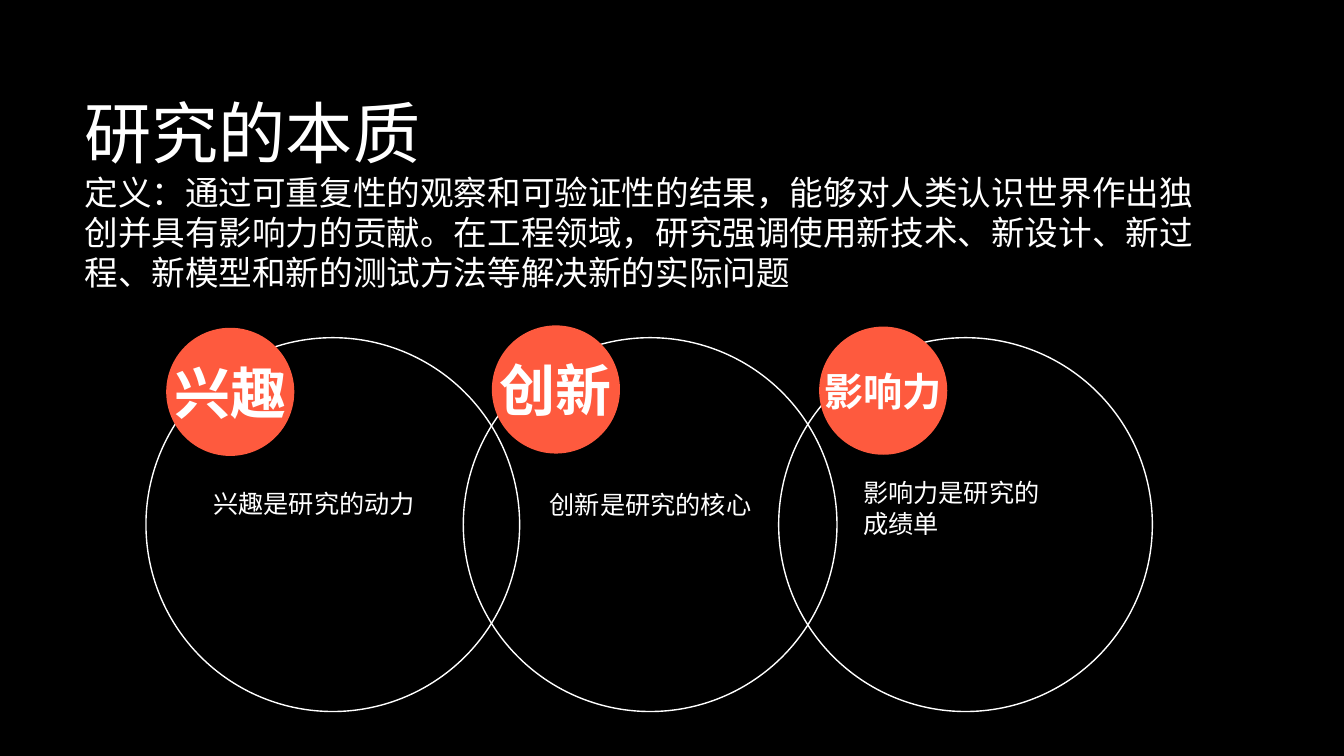
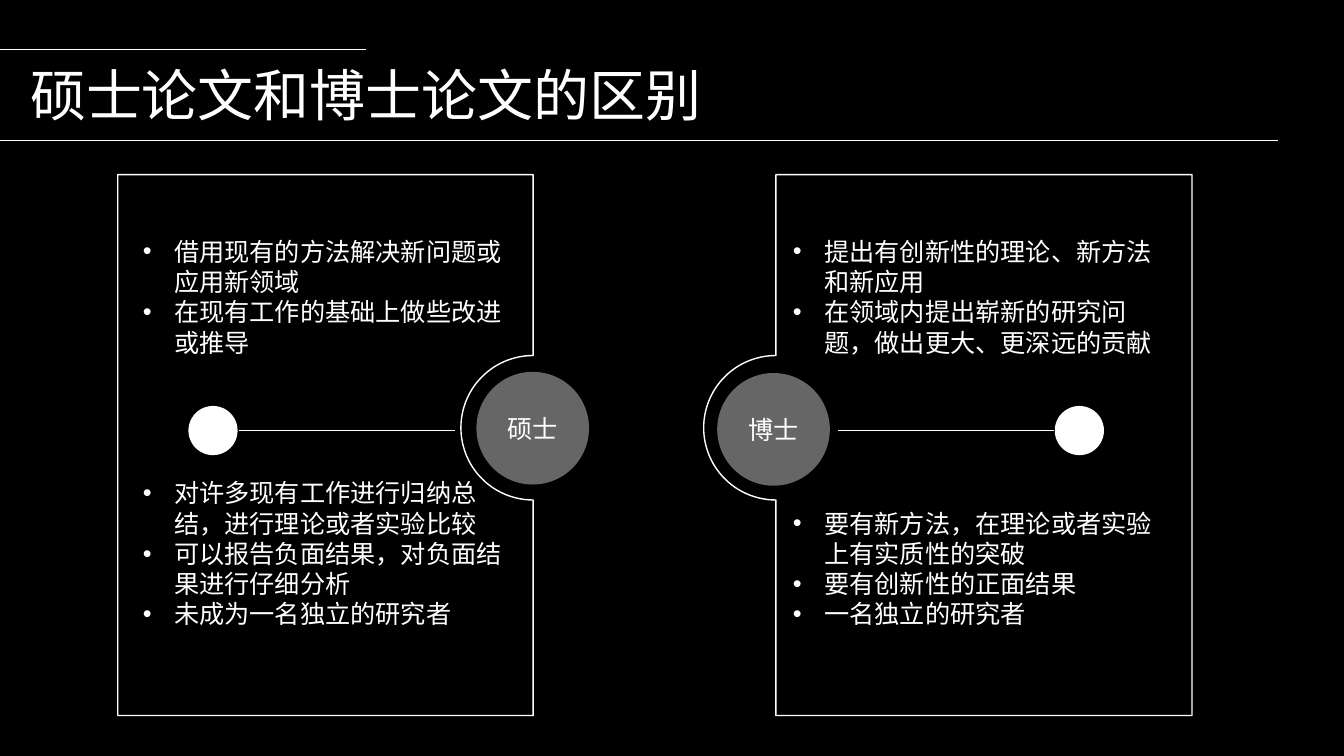
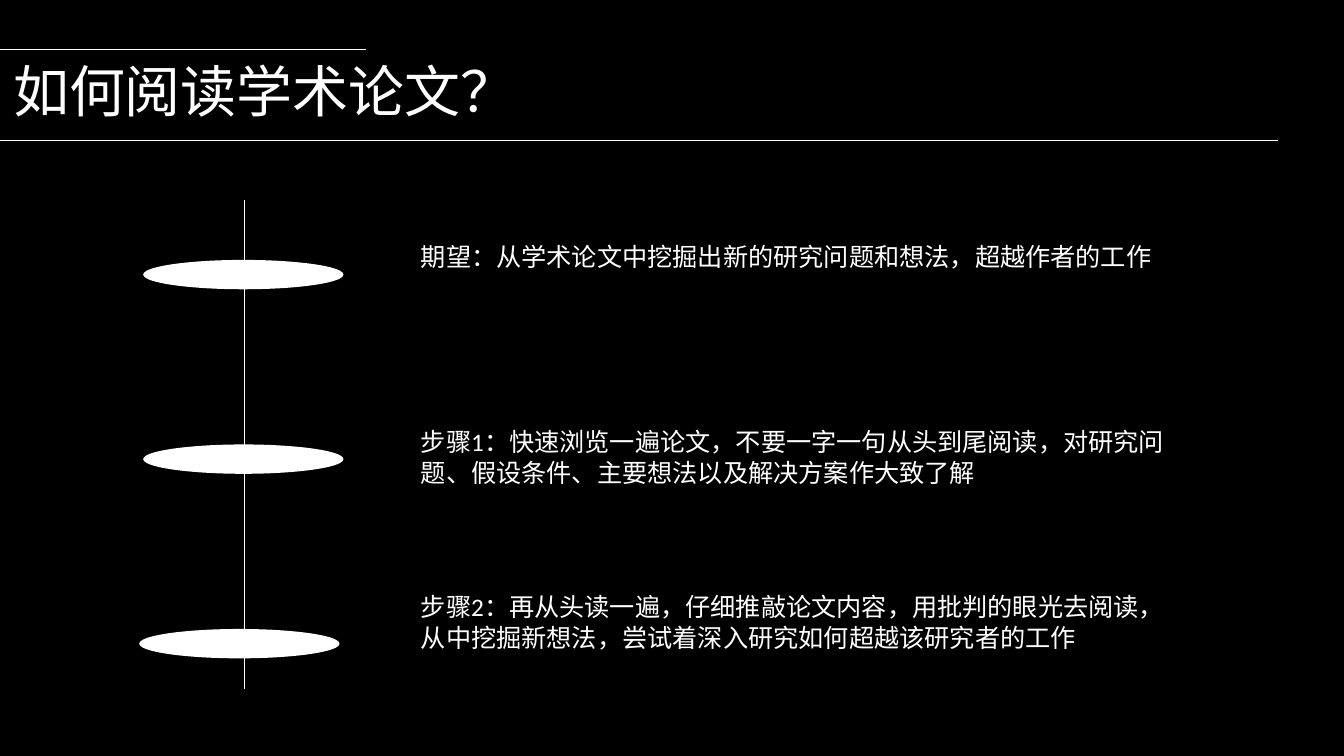
"""Build three slides about research, theses and reading papers."""
import math

from lxml import etree
from pptx import Presentation
from pptx.dml.color import RGBColor
from pptx.enum.shapes import MSO_CONNECTOR, MSO_SHAPE
from pptx.enum.text import MSO_ANCHOR, MSO_AUTO_SIZE, PP_ALIGN
from pptx.oxml.ns import qn
from pptx.util import Cm, Pt

STRAIGHT = MSO_CONNECTOR.STRAIGHT
OVAL = MSO_SHAPE.OVAL
TOP, MIDDLE, BOTTOM = MSO_ANCHOR.TOP, MSO_ANCHOR.MIDDLE, MSO_ANCHOR.BOTTOM
LEFT, CENTER = PP_ALIGN.LEFT, PP_ALIGN.CENTER
NO_FIT = MSO_AUTO_SIZE.NONE
TITLE_ONLY = 5

BLACK, WHITE, ORANGE = "000000", "FFFFFF", "FE5A3E"
BODY_FONT, BADGE_FONT = "Calibri", "Arial"

DEFINITION = ("定义：通过可重复性的观察和可验证性的结果，能够对人类认识世界作出独创并具有影响力的贡献。"
              "在工程领域，研究强调使用新技术、新设计、新过程、新模型和新的测试方法等解决新的实际问题")
RING, BADGE = 9.42, 3.23
ESSENCE = [
    dict(name="兴趣", size=40, ring=3.68, badge=(4.19, 8.26),
         note="兴趣是研究的动力", note_at=(5.13, 12.17, 5.66, 1.02)),
    dict(name="创新", size=40, ring=11.68, badge=(12.4, 8.2),
         note="创新是研究的核心", note_at=(13.61, 12.19, 5.66, 1.02)),
    dict(name="影响力", size=28, ring=19.63, badge=(20.65, 8.23),
         note="影响力是研究的成绩单", note_at=(21.51, 11.91, 5.54, 1.78)),
]

CARD_TOP, CARD_BOTTOM, NOTCH_Y, NOTCH_R = 4.4, 18.03, 10.78, 1.82
DISC, DOT, AXIS_Y = 2.84, 1.24, 10.85
DEGREES = [
    dict(name="硕士", notch_x=13.44, far_x=2.97, disc=(12.01, 9.37),
         dot_x=4.75, line=(6.02, 11.46), text_x=3.35, text_w=9.65,
         upper=["借用现有的方法解决新问题或应用新领域", "在现有工作的基础上做些改进或推导"],
         lower=["对许多现有工作进行归纳总结，进行理论或者实验比较",
                "可以报告负面结果，对负面结果进行仔细分析", "未成为一名独立的研究者"]),
    dict(name="博士", notch_x=19.56, far_x=30.05, disc=(18.08, 9.4),
         dot_x=26.59, line=(21.13, 26.57), text_x=19.74, text_w=9.86,
         upper=["提出有创新性的理论、新方法和新应用",
                "在领域内提出崭新的研究问题，做出更大、更深远的贡献"],
         lower=["要有新方法，在理论或者实验上有实质性的突破",
                "要有创新性的正面结果", "一名独立的研究者"]),
]
UPPER_Y, LOWER_Y, LIST_H = 5.82, 11.92, 4.06

MARKER_Y, MARKER_STEP, MARKER_W, MARKER_H = 6.55, 4.65, 5.05, 0.74
READING = [
    (3.61, 5.94, 1.02, "期望：从学术论文中挖掘出新的研究问题和想法，超越作者的工作"),
    (3.61, 10.62, 1.78, "步骤1：快速浏览一遍论文，不要一字一句从头到尾阅读，"
                        "对研究问题、假设条件、主要想法以及解决方案作大致了解"),
    (3.51, 14.78, 1.78, "步骤2：再从头读一遍，仔细推敲论文内容，用批判的眼光去阅读，"
                        "从中挖掘新想法，尝试着深入研究如何超越该研究者的工作"),
]


def rgb(value):
    """Turn a hex string into a colour."""
    return RGBColor.from_string(value)


def add_bullet(p):
    """Give a paragraph a white round bullet with a hanging indent."""
    pPr = p._p.get_or_add_pPr()
    pPr.set("marL", str(Cm(0.79)))
    pPr.set("indent", str(Cm(-0.79)))
    colour = etree.SubElement(pPr, qn("a:buClr"))
    etree.SubElement(colour, qn("a:srgbClr")).set("val", WHITE)
    etree.SubElement(pPr, qn("a:buFont")).set("typeface", BADGE_FONT)
    etree.SubElement(pPr, qn("a:buChar")).set("char", "•")


def write(tf, lines, size=18, font=BODY_FONT, bold=False, align=LEFT,
          anchor=TOP, wrap=True, bullet=False, inset=0.25):
    """Fill a text frame, keeping punctuation inside the margins."""
    tf.word_wrap, tf.auto_size, tf.vertical_anchor = wrap, NO_FIT, anchor
    tf.margin_left = tf.margin_right = Cm(inset)
    tf.margin_top = tf.margin_bottom = Cm(0.13)
    for i, line in enumerate(lines):
        p = tf.add_paragraph() if i else tf.paragraphs[0]
        p.alignment = align
        p._p.get_or_add_pPr().set("hangingPunct", "0")
        if bullet:
            add_bullet(p)
        r = p.add_run()
        r.text = line
        r.font.name, r.font.size, r.font.bold = font, Pt(size), bold
        r.font.color.rgb = rgb(WHITE)


def add_text(s, at, lines, **fmt):
    """Add a text box at left, top, width, height in centimetres."""
    write(s.shapes.add_textbox(*map(Cm, at)).text_frame, lines, **fmt)


def paint(sp, fill=None, line=None, alpha=None):
    """Set the fill and outline of a shape and drop its shadow."""
    sp.shadow.inherit = False
    if fill:
        sp.fill.solid()
        sp.fill.fore_color.rgb = rgb(fill)
    else:
        sp.fill.background()
    if alpha:
        colour = sp._element.spPr.find(qn("a:solidFill"))[0]
        etree.SubElement(colour, qn("a:alpha")).set("val", str(alpha * 1000))
    if line:
        sp.line.color.rgb = rgb(line)
        sp.line.width = Pt(1)
    else:
        sp.line.fill.background()


def add_oval(s, x, y, w, h, **look):
    """Add an ellipse and return it."""
    sp = s.shapes.add_shape(OVAL, Cm(x), Cm(y), Cm(w), Cm(h))
    paint(sp, **look)
    return sp


def add_line(s, x1, y1, x2, y2):
    """Add a thin white line."""
    c = s.shapes.add_connector(STRAIGHT, Cm(x1), Cm(y1), Cm(x2), Cm(y2))
    c.line.color.rgb = rgb(WHITE)
    c.line.width = Pt(0.5)
    etree.SubElement(c._element.spPr, qn("a:effectLst"))


def add_slide(prs, title, at, size=40, ruled=True):
    """Add a slide with its title and, if ruled, the two title lines."""
    s = prs.slides.add_slide(prs.slide_layouts[TITLE_ONLY])
    sp = s.shapes.title
    sp.left, sp.top, sp.width, sp.height = map(Cm, at)
    write(sp.text_frame, [title], size=size)
    if ruled:
        add_line(s, 0, 1.24, 9.22, 1.24)
        add_line(s, 0, 3.53, 32.21, 3.53)
    return s


def add_card(s, notch_x, far_x):
    """Outline a card whose notched side bows to the left."""
    angles = [math.radians(90 + 3 * i) for i in range(61)]
    points = [(far_x, CARD_TOP), (notch_x, CARD_TOP)]
    points += [(notch_x + NOTCH_R * math.cos(a), NOTCH_Y - NOTCH_R * math.sin(a))
               for a in angles]
    points += [(notch_x, CARD_BOTTOM), (far_x, CARD_BOTTOM)]
    points = [(Cm(x), Cm(y)) for x, y in points]
    fb = s.shapes.build_freeform(*points[0])
    fb.add_line_segments(points[1:], close=True)
    paint(fb.convert_to_shape(), line=WHITE)


def essence_slide(prs):
    """Define research and show its three overlapping aspects."""
    s = add_slide(prs, "研究的本质", (1.88, 2.16, 29, 2.03), size=48, ruled=False)
    add_text(s, (1.88, 4.19, 29, 3.3), [DEFINITION], size=24)
    for item in ESSENCE:
        add_oval(s, item["ring"], 8.51, RING, RING, line=WHITE)
    for item in ESSENCE:
        sp = add_oval(s, *item["badge"], BADGE, BADGE, fill=ORANGE)
        write(sp.text_frame, [item["name"]], size=item["size"], font=BADGE_FONT,
              bold=True, align=CENTER, anchor=MIDDLE, wrap=False, inset=0)
        add_text(s, item["note_at"], [item["note"]])


def degrees_slide(prs):
    """Compare the master's and the doctoral thesis."""
    s = add_slide(prs, "硕士论文和博士论文的区别", (0.51, 1.4, 30, 1.96))
    for d in DEGREES:
        add_card(s, d["notch_x"], d["far_x"])
        sp = add_oval(s, *d["disc"], DISC, DISC, fill=WHITE, alpha=40)
        write(sp.text_frame, [d["name"]], font=BADGE_FONT, align=CENTER, anchor=MIDDLE)
        x1, x2 = d["line"]
        add_line(s, x1, AXIS_Y, x2, AXIS_Y)
        add_oval(s, d["dot_x"], AXIS_Y - DOT / 2, DOT, DOT, fill=WHITE)
        for key, y, anchor in (("upper", UPPER_Y, TOP), ("lower", LOWER_Y, BOTTOM)):
            add_text(s, (d["text_x"], y, d["text_w"], LIST_H), d[key],
                     anchor=anchor, bullet=True)


def reading_slide(prs):
    """List the steps for reading a paper along a vertical line."""
    s = add_slide(prs, "如何阅读学术论文？", (0.08, 1.3, 30, 1.96))
    add_line(s, 6.15, 5.05, 6.15, 17.35)
    for i, (x, y, h, text) in enumerate(READING):
        add_oval(s, x, MARKER_Y + i * MARKER_STEP, MARKER_W, MARKER_H, fill=WHITE)
        add_text(s, (10.36, y, 19.46, h), [text])


def main():
    """Build and save the presentation."""
    prs = Presentation()
    prs.slide_width, prs.slide_height = Cm(33.88), Cm(19.05)
    fill = prs.slide_master.background.fill
    fill.solid()
    fill.fore_color.rgb = rgb(BLACK)
    essence_slide(prs)
    degrees_slide(prs)
    reading_slide(prs)
    prs.save("out.pptx")


if __name__ == "__main__":
    main()
